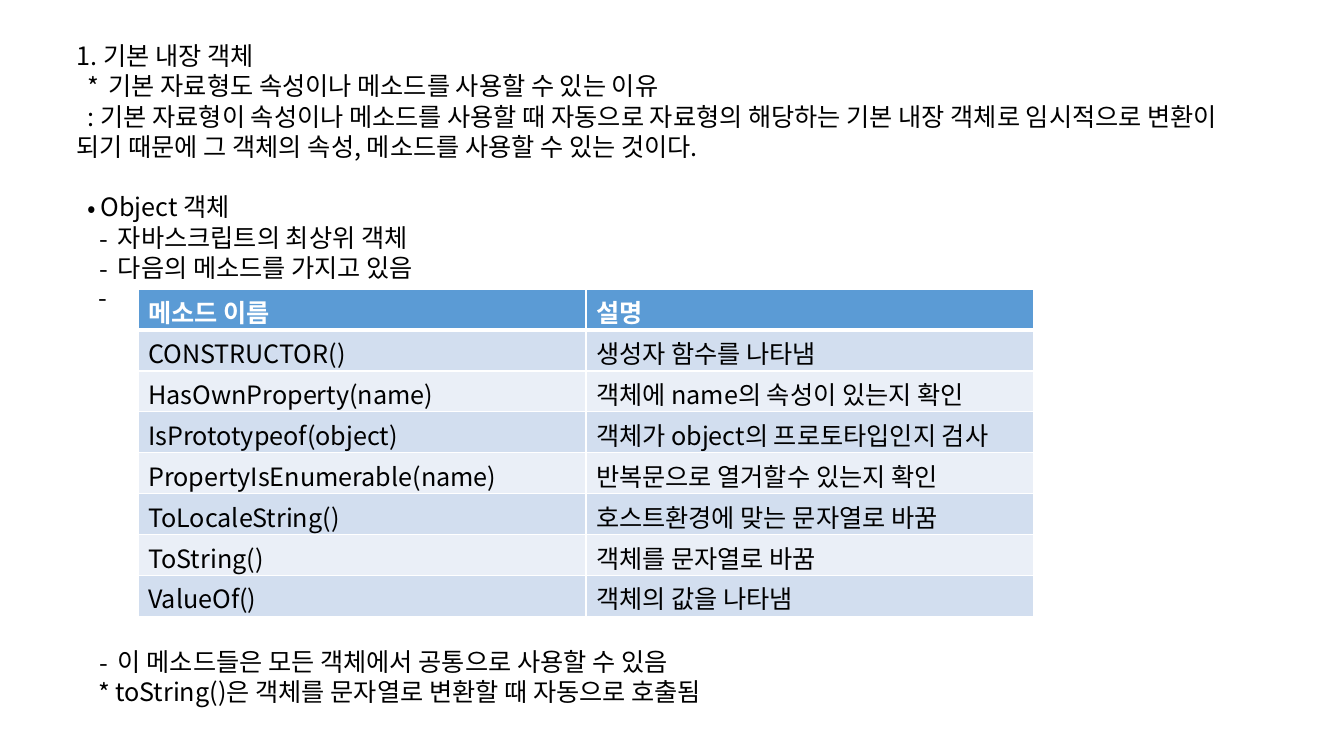
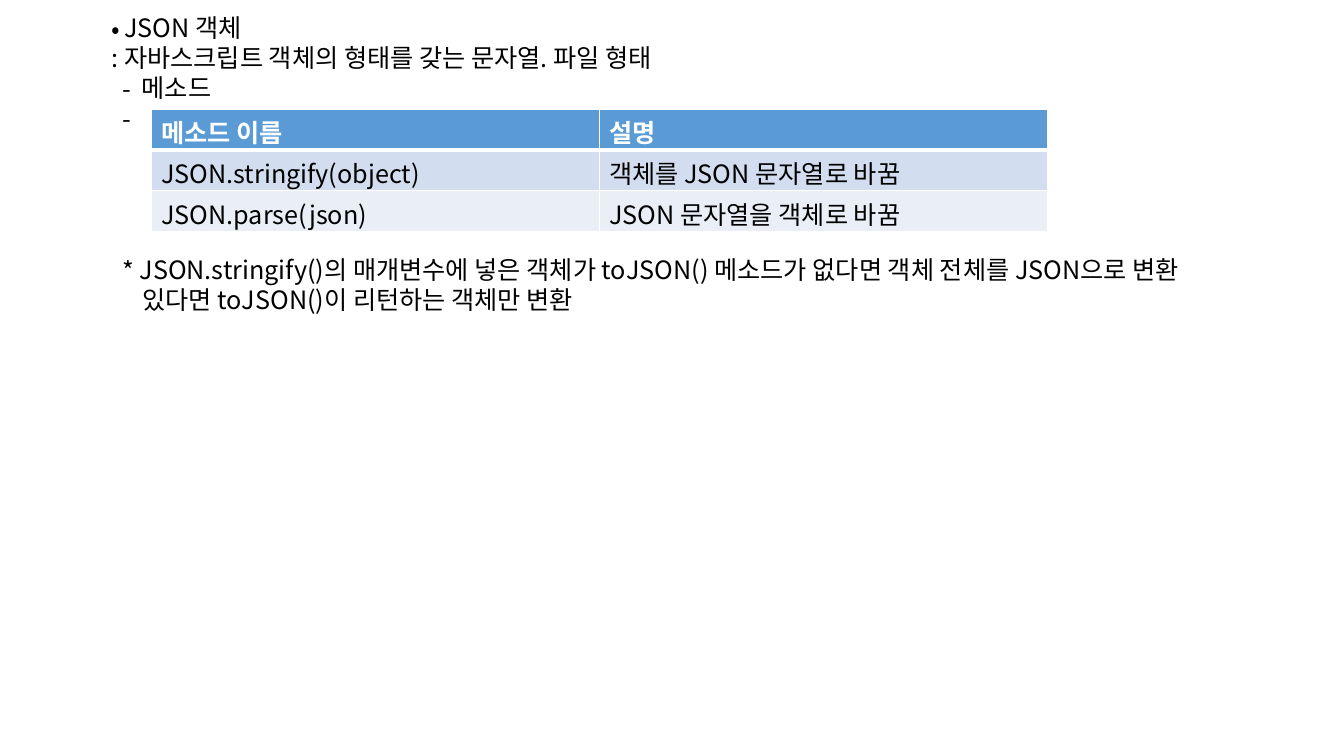
from dataclasses import dataclass

from lxml.etree import SubElement
from pptx import Presentation
from pptx.dml.color import RGBColor
from pptx.enum.text import MSO_ANCHOR as Anchor, MSO_AUTO_SIZE as AutoSize, PP_ALIGN as Align
from pptx.oxml.ns import qn
from pptx.util import Pt

FONT = "Noto Sans CJK KR"
SIZE = 18
LINE = 21.64
ROW_H = 29.2
COL_W = 320
INSET_X, INSET_Y = 7.2, 3.6
BLACK, WHITE = "000000", "FFFFFF"
HEADER, BANDS = "5B9BD5", ("D2DEEF", "EAEFF7")
DASH_HANG = 13.5
TABLE_HEAD = ("메소드 이름", "설명")

OBJECT_METHODS = [
    ("CONSTRUCTOR()", "생성자 함수를 나타냄"),
    ("HasOwnProperty(name)", "객체에 name의 속성이 있는지 확인"),
    ("IsPrototypeof(object)", "객체가 object의 프로토타입인지 검사"),
    ("PropertyIsEnumerable(name)", "반복문으로 열거할수 있는지 확인"),
    ("ToLocaleString()", "호스트환경에 맞는 문자열로 바꿈"),
    ("ToString()", "객체를 문자열로 바꿈"),
    ("ValueOf()", "객체의 값을 나타냄"),
]
JSON_METHODS = [
    ("JSON.stringify(object)", "객체를 JSON 문자열로 바꿈"),
    ("JSON.parse(json)", "JSON 문자열을 객체로 바꿈"),
]


@dataclass
class Item:
    text: str
    start: float = 0
    marker: str = ""
    hang: float = 0
    gap_lines: int = 0


OBJECT_ITEMS = [
    Item("기본 자료형도 속성이나 메소드를 사용할 수 있는 이유", 8, "*", 15),
    Item(": 기본 자료형이 속성이나 메소드를 사용할 때 자동으로 자료형의 해당하는 "
         "기본 내장 객체로 임시적으로 변환이 되기 때문에 그 객체의 속성, "
         "메소드를 사용할 수 있는 것이다.", 8),
    Item("Object 객체", 8, "•", 9, gap_lines=1),
    Item("자바스크립트의 최상위 객체", 16, "-", DASH_HANG),
    Item("다음의 메소드를 가지고 있음", 16, "-", DASH_HANG),
    Item("-", 16),
    Item("이 메소드들은 모든 객체에서 공통으로 사용할 수 있음", 16, "-", DASH_HANG, gap_lines=11),
    Item("toString()은 객체를 문자열로 변환할 때 자동으로 호출됨", 16, "*", 11.5),
]
JSON_ITEMS = [
    Item(": 자바스크립트 객체의 형태를 갖는 문자열. 파일 형태", 48),
    Item("메소드", 56, "-", DASH_HANG),
    Item("-", 56),
    Item("JSON.stringify()의 매개변수에 넣은 객체가 toJSON() 메소드가 없다면 "
         "객체 전체를 JSON으로 변환", 56, "*", 12, gap_lines=4),
    Item("있다면 toJSON()이 리턴하는 객체만 변환", 70),
]


def rgb(value):
    return RGBColor.from_string(value)


def style_paragraph(p, color=BLACK, bold=False):
    p.alignment = Align.LEFT
    p.line_spacing = Pt(LINE)
    p.space_before = p.space_after = Pt(0)
    p.font.size = Pt(SIZE)
    p.font.bold = bold
    p.font.color.rgb = rgb(color)
    p.font.name = FONT
    def_rpr = p._p.pPr.find(qn("a:defRPr"))
    SubElement(def_rpr, qn("a:ea")).set("typeface", FONT)


def set_marker(p, item):
    ppr = p._p.pPr
    ppr.set("marL", str(Pt(item.hang)+ Pt(item.start) if item.marker else 0))
    ppr.set("indent", str(-Pt(item.hang) if item.marker else Pt(item.start)))
    def_rpr = ppr.find(qn("a:defRPr"))
    if not item.marker:
        def_rpr.addprevious(ppr.makeelement(qn("a:buNone"), {}))
        return
    def_rpr.addprevious(ppr.makeelement(qn("a:buFont"), {"typeface": FONT}))
    def_rpr.addprevious(ppr.makeelement(qn("a:buChar"), {"char": item.marker}))


def fill_placeholder(sp, items, left, top, width, height):
    sp.left, sp.top, sp.width, sp.height = Pt(left), Pt(top), Pt(width), Pt(height)
    tf = sp.text_frame
    tf.word_wrap = True
    tf.auto_size = AutoSize.NONE
    tf.vertical_anchor = Anchor.TOP
    tf.margin_left = tf.margin_right = Pt(INSET_X)
    tf.margin_top = tf.margin_bottom = Pt(INSET_Y)
    for i, item in enumerate(items):
        p = tf.add_paragraph() if i else tf.paragraphs[0]
        p.text = item.text
        style_paragraph(p)
        p.space_before = Pt(item.gap_lines * LINE)
        set_marker(p, item)


def set_borders(cell, bottom):
    tcpr = cell._tc.get_or_add_tcPr()
    widths = {"a:lnL": 1, "a:lnR": 1, "a:lnT": 1, "a:lnB": bottom}
    for i, (tag, width) in enumerate(widths.items()):
        ln = tcpr.makeelement(qn(tag), {"w": str(Pt(width))})
        SubElement(SubElement(ln, qn("a:solidFill")), qn("a:srgbClr")).set("val", WHITE)
        tcpr.insert(i, ln)


def fill_cell(cell, text, row):
    is_head = row == 0
    cell.fill.solid()
    cell.fill.fore_color.rgb = rgb(HEADER if is_head else BANDS[(row - 1) % 2])
    set_borders(cell, 3 if is_head else 1)
    cell.margin_left = cell.margin_right = Pt(INSET_X)
    cell.margin_top = Pt(ROW_H - LINE)
    cell.margin_bottom = Pt(0)
    p = cell.text_frame.paragraphs[0]
    p.text = text
    style_paragraph(p, WHITE if is_head else BLACK, is_head)


def add_method_table(s, methods, left, top):
    rows = [TABLE_HEAD, *methods]
    table = s.shapes.add_table(len(rows), 2, Pt(left), Pt(top),
                               Pt(2 * COL_W), Pt(ROW_H * len(rows))).table
    for col in table.columns:
        col.width = Pt(COL_W)
    for r, texts in enumerate(rows):
        table.rows[r].height = Pt(ROW_H)
        for c, text in enumerate(texts):
            fill_cell(table.cell(r, c), text, r)


def add_object_slide(prs, title, items, box, methods, table_at):
    s = prs.slides.add_slide(prs.slide_layouts[1])
    left, top, width, height = box
    fill_placeholder(s.shapes.title, [title], left, top, width, LINE + 2 * INSET_Y)
    fill_placeholder(s.placeholders[1], items, left, top + LINE, width, height - LINE)
    add_method_table(s, methods, *table_at)


def main():
    prs = Presentation()
    prs.slide_width, prs.slide_height = Pt(960), Pt(540)
    add_object_slide(prs, Item("1. 기본 내장 객체"), OBJECT_ITEMS,
                     (47.5, 25.2, 862.5, 509), OBJECT_METHODS, (98.6, 206.6))
    add_object_slide(prs, Item("JSON 객체", 48, "•", 9), JSON_ITEMS,
                     (24.5, 5, 887, 269.3), JSON_METHODS, (108, 77.8))
    prs.save("out.pptx")


main()
